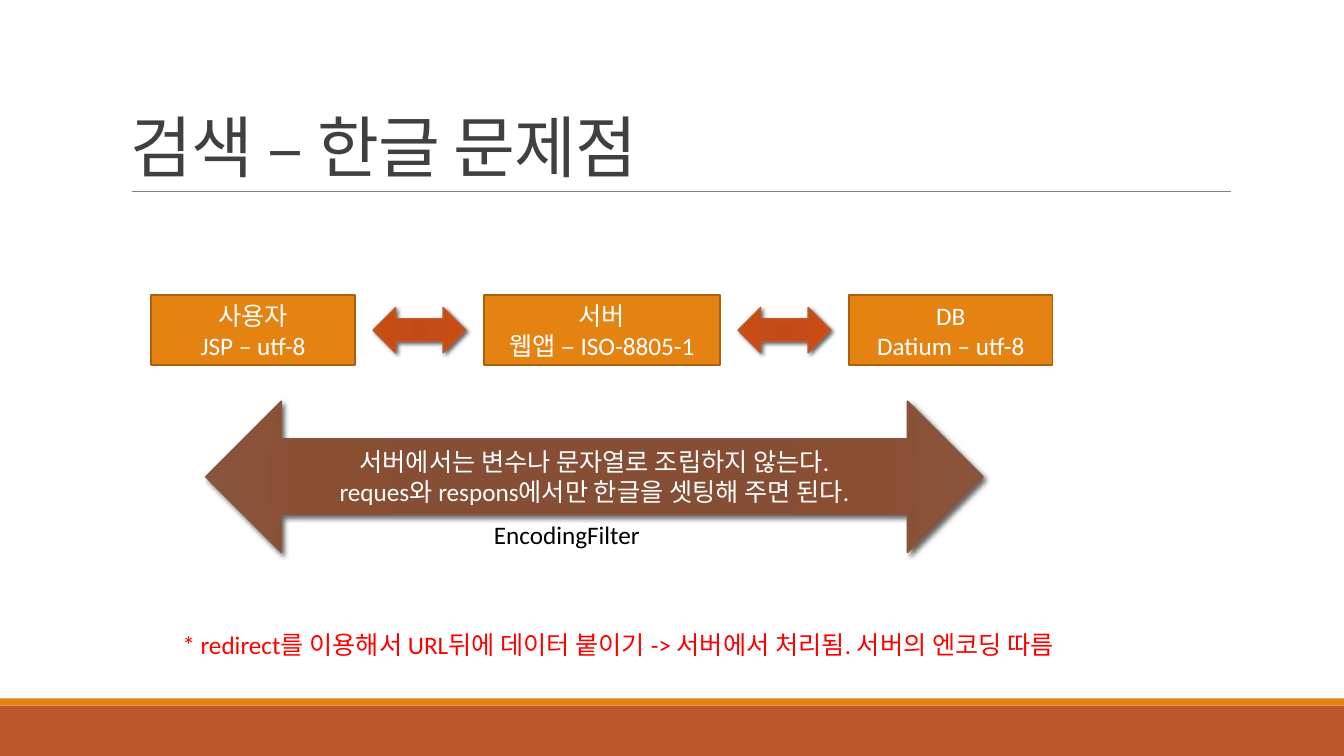
from pptx import Presentation
from pptx import util as u
from pptx.dml.color import RGBColor
from pptx.enum import shapes, text
from pptx.oxml import parse_xml
from pptx.oxml import ns

PX = 9144
FACE = "Calibri"
WHITE = RGBColor(0xFF, 0xFF, 0xFF)
BLACK = RGBColor(0, 0, 0)
RED = RGBColor(0xFF, 0, 0)
DARK = RGBColor(0x40, 0x40, 0x40)
GRAY = RGBColor(0x80, 0x80, 0x80)
AMBER = RGBColor(0xE4, 0x83, 0x12)
OCHRE = RGBColor(0xA9, 0x61, 0x0D)
RUST = RGBColor(0xBD, 0x58, 0x2C)
BROWN = RGBColor(0x86, 0x56, 0x40)
GLOW = ["C44A15", "C34C18", "C94C15", "C45525"]
EARTH = ["874C32", "864E34", "8A4E33", "8A553D"]
STOPS = [0, 34, 70, 100]
RECT = shapes.MSO_SHAPE.RECTANGLE
ARROW = shapes.MSO_SHAPE.LEFT_RIGHT_ARROW
MID = text.MSO_ANCHOR.MIDDLE
CENTER = text.PP_ALIGN.CENTER


def px(*vals):
    return [u.Emu(round(v * PX)) for v in vals]


def apply(obj, form):
    for key, val in form.items():
        setattr(obj, key, val)


def write(shape, lines, color, size=18, frame=None, para=None):
    tf = shape.text_frame
    apply(tf, frame or {})
    tf.text = "\n".join(lines)
    for p in tf.paragraphs:
        apply(p, para or {})
        for run in p.runs:
            apply(run.font, {"name": FACE, "size": u.Pt(size)})
            run.font.color.rgb = color


def block(slide, box, kind, fill, edge=None, width=1):
    shape = slide.shapes.add_shape(kind, *px(*box))
    shape.shadow.inherit = False
    shape.fill.solid()
    shape.fill.fore_color.rgb = fill
    if edge is None:
        shape.line.fill.background()
    else:
        shape.line.color.rgb = edge
        shape.line.width = u.Pt(width)
    return shape


def label(slide, box, line, color):
    shape = slide.shapes.add_textbox(*px(*box))
    auto = text.MSO_AUTO_SIZE.SHAPE_TO_FIT_TEXT
    write(shape, [line], color, frame={"word_wrap": False, "auto_size": auto})


def arrow(slide, box, tones, edge):
    shape = block(slide, box, ARROW, edge, edge)
    props = shape._element.spPr
    stops = "".join(
        f'<a:gs pos="{pos * 1000}"><a:srgbClr val="{tone}"/></a:gs>'
        for pos, tone in zip(STOPS, tones))
    grad = parse_xml(
        f'<a:gradFill {ns.nsdecls("a")}><a:gsLst>{stops}</a:gsLst>'
        '<a:path path="circle"><a:fillToRect l="100000" t="100000" '
        'r="100000" b="100000"/></a:path></a:gradFill>')
    props.replace(props.find(ns.qn("a:solidFill")), grad)
    shade = parse_xml(
        f'<a:outerShdw {ns.nsdecls("a")} blurRad="{u.Pt(3)}" '
        f'dist="{u.Pt(2)}" dir="{45 * 60000}" algn="tl" rotWithShape="0">'
        '<a:srgbClr val="000000"><a:alpha val="60000"/></a:srgbClr>'
        '</a:outerShdw>')
    props.find(ns.qn("a:effectLst")).append(shade)
    return shape


def footer(slide, box):
    x, y, w, h = box
    strip = 7
    block(slide, (x, y + strip, w, h - strip), RECT, RUST)
    block(slide, (x, y, w, strip), RECT, AMBER)


def heading(slide, box):
    x, y, w, h = box
    base = y + h
    rule = slide.shapes.add_connector(
        shapes.MSO_CONNECTOR.STRAIGHT, *px(x + 11, base, x + w + 1, base))
    rule.line.color.rgb = GRAY
    rule.line.width = u.Pt(0.5)
    rule._element.spPr.append(parse_xml(f'<a:effectLst {ns.nsdecls("a")}/>'))
    title = slide.shapes.add_textbox(*px(*box))
    write(title, ["검색 – 한글 문제점"], DARK, 48,
          {"word_wrap": True, "vertical_anchor": text.MSO_ANCHOR.BOTTOM},
          {"line_spacing": 0.85})
    run = title.text_frame.paragraphs[0].runs[0]
    run.font._element.set("spc", "-50")


def flow(slide, box):
    x, y, w, h = box
    gap, span, tall = 18, 92, 45
    nodes = [
        (202, ["사용자", "JSP – utf-8"]),
        (234, ["서버", "웹앱 – ISO-8805-1"]),
        (202, ["DB", "Datium – utf-8"]),
    ]
    for i, (wide, lines) in enumerate(nodes):
        if i:
            arrow(slide, (x + gap, y + (h - tall) / 2, span, tall), GLOW, RUST)
            x += span + 2 * gap
        node = block(slide, (x, y, wide, h), RECT, AMBER, OCHRE, 1.25)
        write(node, lines, WHITE, frame={"vertical_anchor": MID},
              para={"alignment": CENTER})
        x += wide


def advice(slide, box):
    x, y, w, h = box
    label(slide, (x + 276, y + 112, 167, 40), "EncodingFilter", BLACK)
    band = arrow(slide, box, EARTH, BROWN)
    write(band, ["서버에서는 변수나 문자열로 조립하지 않는다.",
                 "reques와 respons에서만 한글을 셋팅해 주면 된다."],
          WHITE, frame={"vertical_anchor": MID}, para={"alignment": CENTER})


def main():
    deck = Presentation()
    deck.slide_width, deck.slide_height = px(1333, 750)
    slide = deck.slides.add_slide(deck.slide_layouts[6])
    footer(slide, (0, 693, 1333, 57))
    heading(slide, (120, 31, 1100, 159))
    flow(slide, (150, 293, 894, 69))
    advice(slide, (204, 398, 771, 150))
    label(slide, (171, 619, 951, 40),
          "* redirect를 이용해서 URL뒤에 데이터 붙이기 -> "
          "서버에서 처리됨. 서버의 엔코딩 따름", RED)
    deck.save("out.pptx")


if __name__ == "__main__":
    main()
